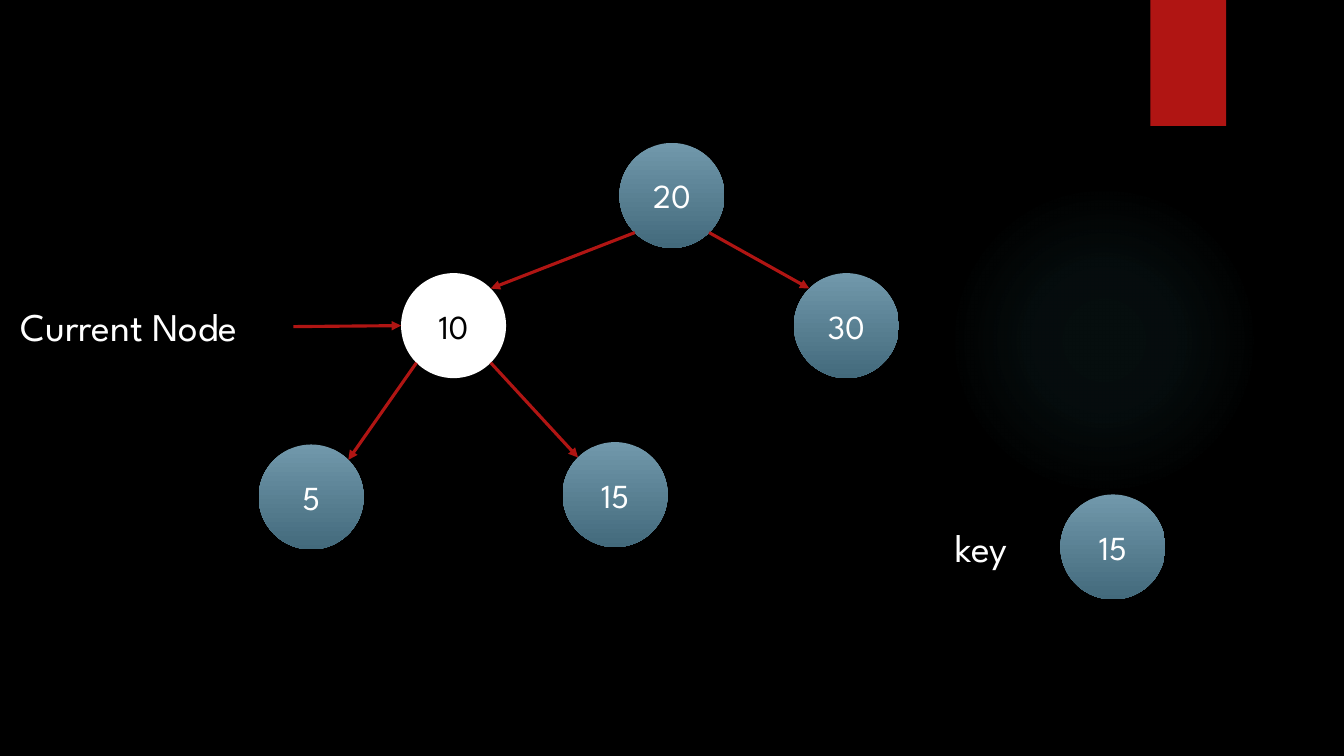
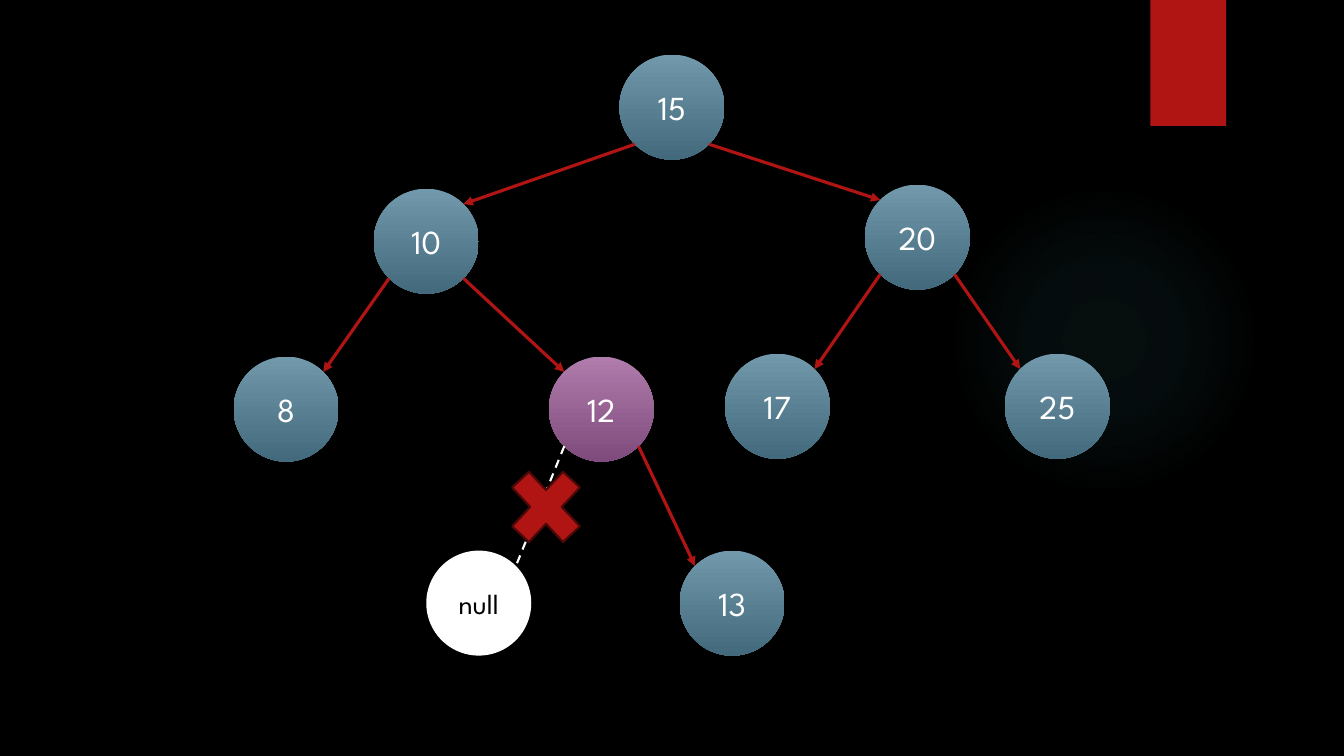
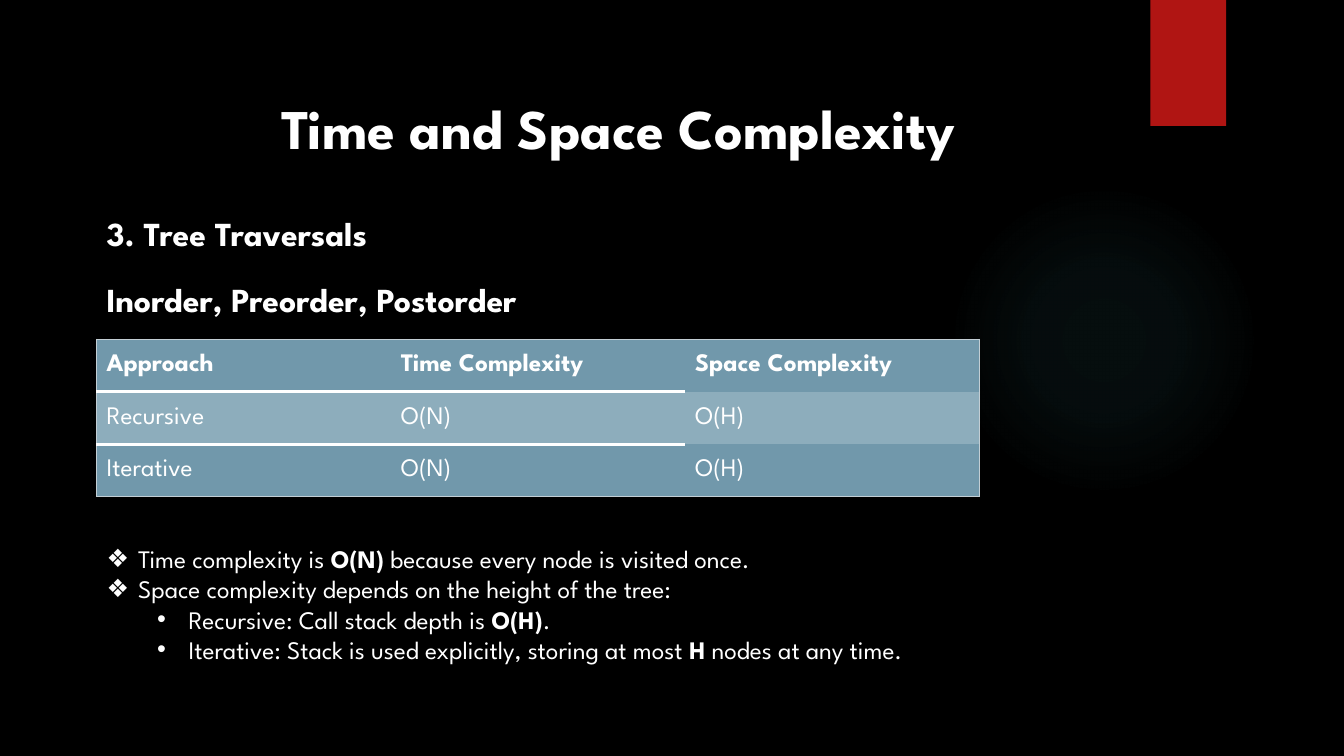
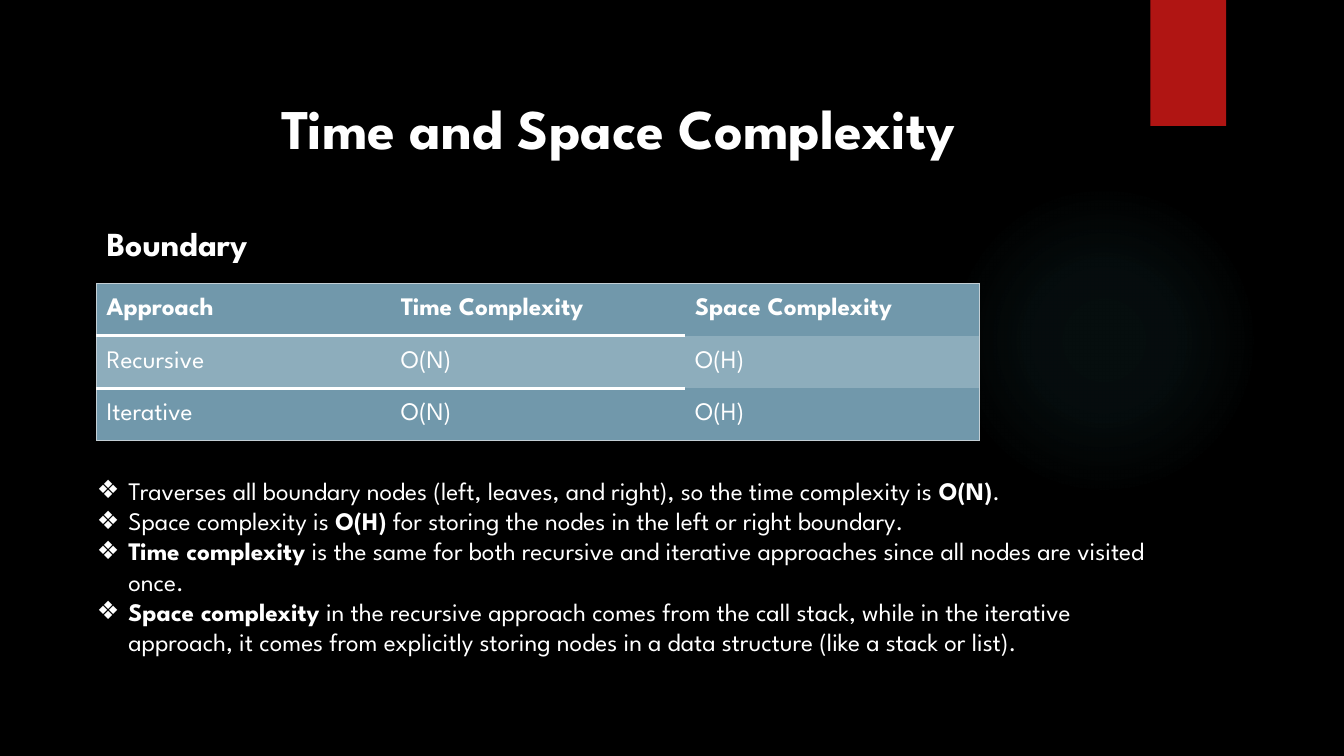
from lxml import etree
from pptx import Presentation
from pptx.dml.color import RGBColor
from pptx.enum import dml, shapes, text as t
from pptx.oxml import parse_xml
from pptx.oxml.ns import nsdecls, qn
from pptx.util import Pt

# Shared look
rgb = RGBColor.from_string
FONT = "League Spartan"
RED, WHITE, BLACK = "B01513", "FFFFFF", "000000"
BLUE, PLUM = ("7198AB", "436A7C"), ("AF7CAC", "7F4B7C")
PALE, EDGE = "8DADBC", "C3CED4"
SIZE = 75                  # node diameter
DIAG = SIZE / 2 * 0.7071   # centre to a node's 45° point
KIND = shapes.MSO_SHAPE


def write(frame, text, size=24, tint=WHITE, bold=False, align=None, marks=""):
    """Fill a frame: one paragraph a line, *stars* for bold, one bullet mark a line."""
    frame.word_wrap = True
    for i, row in enumerate(text.split("\n")):
        par = frame.add_paragraph() if i else frame.paragraphs[0]
        if marks:
            deep = marks[i] == "•"
            par.level = int(deep)
            prop = par._p.get_or_add_pPr()
            prop.set("marL", str(Pt(58.5 if deep else 22.5)))
            prop.set("indent", str(Pt(-22.5)))
            etree.SubElement(prop, qn("a:buFont"), typeface="Arial")
            etree.SubElement(prop, qn("a:buChar"), char=marks[i])
        par.space_before = Pt(0)
        par.alignment = align
        for j, part in enumerate(row.split("*")):
            if part:
                run = par.add_run()
                run.text = part
                font = run.font
                font.name, font.size = FONT, Pt(size)
                font.bold = bold or j % 2 == 1
                font.color.rgb = rgb(tint)


def form(slide, kind, box, fill, line=None):
    """Add a preset shape; a pair of colours gives a vertical gradient."""
    item = slide.shapes.add_shape(kind, *map(Pt, box))
    if isinstance(fill, tuple):
        item.fill.gradient()
        item.fill.gradient_angle = 270
        for stop, tint in zip(item.fill.gradient_stops, fill):
            stop.color.rgb = rgb(tint)
    else:
        item.fill.solid()
        item.fill.fore_color.rgb = rgb(fill)
    if line:
        item.line.color.rgb = rgb(line)
        item.line.width = Pt(1.5)
    else:
        item.line.fill.background()
    item.shadow.inherit = False
    return item


deck = Presentation()
deck.slide_width, deck.slide_height = Pt(960), Pt(540)
body, blank = deck.slide_layouts[1], deck.slide_layouts[6]

# Master: black ground, faint glow and red band
master = deck.slide_master
master.background.fill.solid()
master.background.fill.fore_color.rgb = rgb(BLACK)
first = deck.slides.add_slide(blank)
glow = form(first, KIND.OVAL, (677.5, 131.8, 221.8, 221.8), BLACK)
band = form(first, KIND.RECTANGLE, (821.8, 0, 54, 90), RED)
stops = "".join(
    f'<a:gs pos="{pos}000"><a:srgbClr val="50B9C1"><a:alpha val="{alpha}000"/></a:srgbClr></a:gs>'
    for pos, alpha in ((0, 7), (36, 6), (69, 0)))
solid = glow.element.spPr.find(qn("a:solidFill"))
solid.getparent().replace(solid, parse_xml(
    f'<a:gradFill {nsdecls("a")}><a:gsLst>{stops}</a:gsLst><a:path path="circle">'
    '<a:fillToRect l="50000" t="50000" r="50000" b="50000"/></a:path></a:gradFill>'))
for num, item in enumerate((glow, band), 101):
    item.element.find(".//" + qn("p:cNvPr")).set("id", str(num))
    master.shapes.element.append(item.element)

# Trees: label, centre x, centre y, parent's place in the list, fill
search = [
    ("20", 480, 139.6, None, BLUE),
    ("10", 324, 232.6, 0, WHITE),
    ("5", 222.3, 355, 1, BLUE),
    ("15", 439.4, 353.3, 1, BLUE),
    ("30", 604.6, 232.6, 0, BLUE),
    ("15", 795, 390.7, None, BLUE),
]
remove = [
    ("15", 480, 76.5, None, BLUE),
    ("10", 304.5, 172.3, 0, BLUE),
    ("8", 204.4, 292.2, 1, BLUE),
    ("12", 429.6, 292.2, 1, PLUM),
    ("20", 655.3, 169.4, 0, BLUE),
    ("17", 555.3, 290.2, 4, BLUE),
    ("25", 755.3, 290.2, 4, BLUE),
    ("13", 523, 430.8, 3, BLUE),
    ("null", 342, 430.8, 3, WHITE),
]
second = deck.slides.add_slide(blank)
pointer = (209.5, 233.3, 286.5, 232.6, False)
for slide, tree, links in ((first, search, [pointer]), (second, remove, [])):
    for label, x, y, up, fill in tree:
        node = form(slide, KIND.OVAL, (x - SIZE / 2, y - SIZE / 2, SIZE, SIZE), fill)
        write(node.text_frame, label, size=20 if label == "null" else 24,
              tint=BLACK if fill == WHITE else WHITE, align=t.PP_ALIGN.CENTER)
        if up is not None:
            px, py = tree[up][1:3]
            side = DIAG if x > px else -DIAG
            links.append((px + side, py + DIAG, x - side, y - DIAG, label == "null"))
    for *ends, dashed in links:
        link = slide.shapes.add_connector(shapes.MSO_CONNECTOR.STRAIGHT, *map(Pt, ends))
        link.line.color.rgb = rgb(WHITE if dashed else RED)
        link.line.width = Pt(1.5 if dashed else 2.25)
        prop = link.element.spPr
        if dashed:
            link.line.dash_style = dml.MSO_LINE.DASH
        else:
            etree.SubElement(prop.find(qn("a:ln")), qn("a:tailEnd"), type="triangle")
        etree.SubElement(prop, qn("a:effectLst"))

# Labels of the first tree, cross on the second
for label, box in (("key", (675.4, 370, 62, 41)), ("Current Node", (7.7, 212.5, 202, 41))):
    write(first.shapes.add_textbox(*map(Pt, box)).text_frame, label, size=28)
form(second, KIND.MATH_MULTIPLY, (355, 324.6, 70, 75), RED, line="4D0908")

# Complexity slides: headings with their tops, table top, list box, marks, list
pages = [
    ([("3. Tree Traversals", 148.5), ("Inorder, Preorder, Postorder", 195.6)], 242.4,
     (69, 384.5, 670, 94.5), "❖❖••",
     "Time complexity is *O(N)* because every node is visited once.\n"
     "Space complexity depends on the height of the tree:\n"
     "Recursive: Call stack depth is *O(H)*.\n"
     "Iterative: Stack is used explicitly, storing at most *H* nodes at any time."),
    ([("Boundary", 155.6)], 202.4,
     (62, 335.8, 766, 160), "❖❖❖❖",
     "Traverses all boundary nodes (left, leaves, and right), so the time complexity is *O(N)*.\n"
     "Space complexity is *O(H)* for storing the nodes in the left or right boundary.\n"
     "*Time complexity* is the same for both recursive and iterative approaches "
     "since all nodes are visited once.\n"
     "*Space complexity* in the recursive approach comes from the call stack, while in the "
     "iterative approach, it comes from explicitly storing nodes in a data structure "
     "(like a stack or list)."),
]
cells = [
    ("Approach", "Time Complexity", "Space Complexity"),
    ("Recursive", "O(N)", "O(H)"),
    ("Iterative", "O(N)", "O(H)"),
]
for heads, top, box, marks, notes in pages:
    slide = deck.slides.add_slide(body)

    # Title and list
    title, points = slide.shapes.title, slide.placeholders[1]
    for item, area in ((title, (193.7, 63.4, 573, 55.7)), (points, box)):
        item.left, item.top, item.width, item.height = map(Pt, area)
        item.text_frame.vertical_anchor = t.MSO_ANCHOR.TOP
        item.text_frame.auto_size = t.MSO_AUTO_SIZE.NONE
    write(title.text_frame, "Time and Space Complexity", size=40, bold=True,
          align=t.PP_ALIGN.LEFT)
    write(points.text_frame, notes, size=18, marks=marks)
    for head, y in heads:
        label = slide.shapes.add_textbox(Pt(69), Pt(y), Pt(480), Pt(36))
        write(label.text_frame, head, bold=True)

    # Table, without a built-in style
    frame = slide.shapes.add_table(3, 3, Pt(69), Pt(top), Pt(630.6), Pt(112.5))
    style = frame.element.find(".//" + qn("a:tableStyleId"))
    style.text = "{2D5ABB26-0587-4C30-8999-92F81FD0307C}"
    for r, row in enumerate(cells):
        for c, word in enumerate(row):
            cell = frame.table.cell(r, c)
            cell.vertical_anchor = t.MSO_ANCHOR.MIDDLE
            cell.fill.solid()
            cell.fill.fore_color.rgb = rgb(PALE if r == 1 else BLUE[0])
            write(cell.text_frame, word, size=18, bold=r == 0)
            rule = c < 2   # the rule under the header spans two columns
            sides = [
                ("L", c == 0, EDGE, 0.75),
                ("R", c == 2, EDGE, 0.75),
                ("T", r == 0, EDGE, 0.75),
                ("T", r == 1 and rule, WHITE, 2.25),
                ("B", r == 0 and rule, WHITE, 2.25),
                ("B", r == 2, EDGE, 0.75),
            ]
            shown = [side for side in sides if side[1]]
            for place, (side, _, tint, width) in enumerate(shown):
                cell._tc.get_or_add_tcPr().insert(place, parse_xml(
                    f'<a:ln{side} {nsdecls("a")} w="{Pt(width)}"><a:solidFill>'
                    f'<a:srgbClr val="{tint}"/></a:solidFill></a:ln{side}>'))

deck.save("out.pptx")
